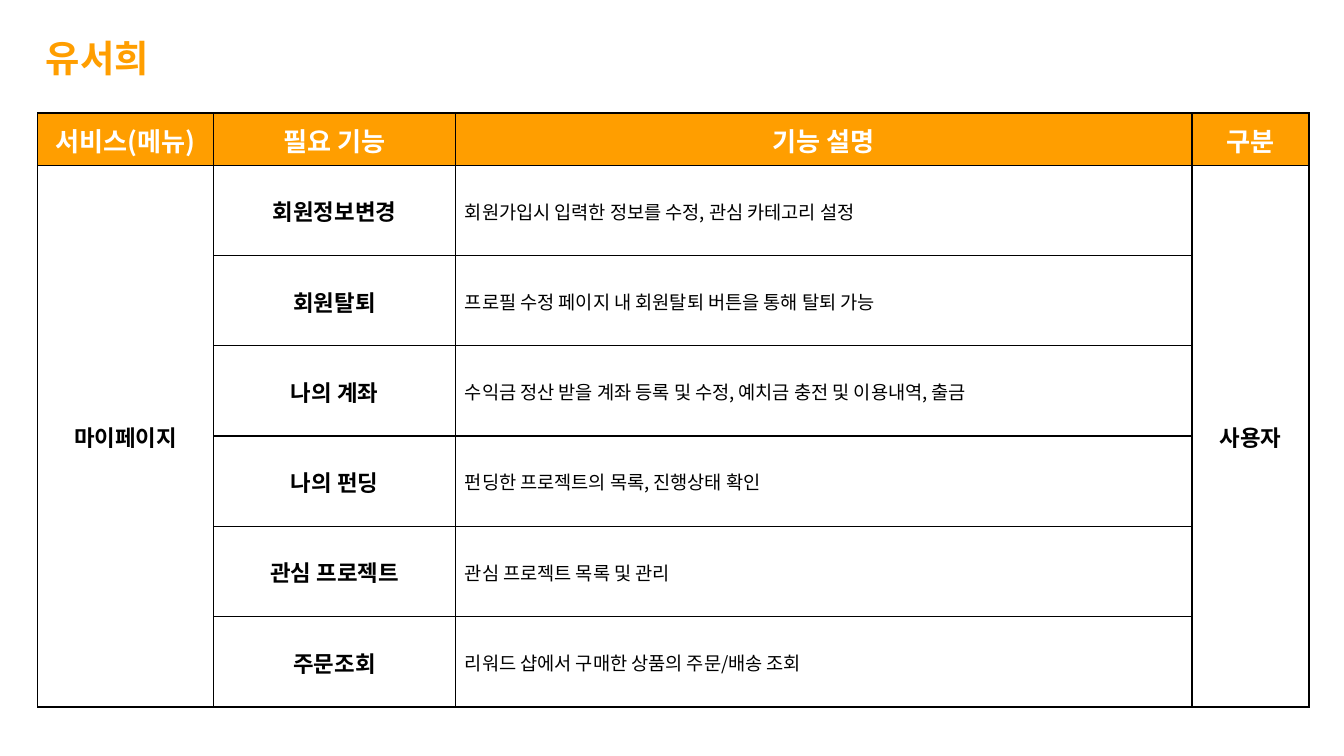
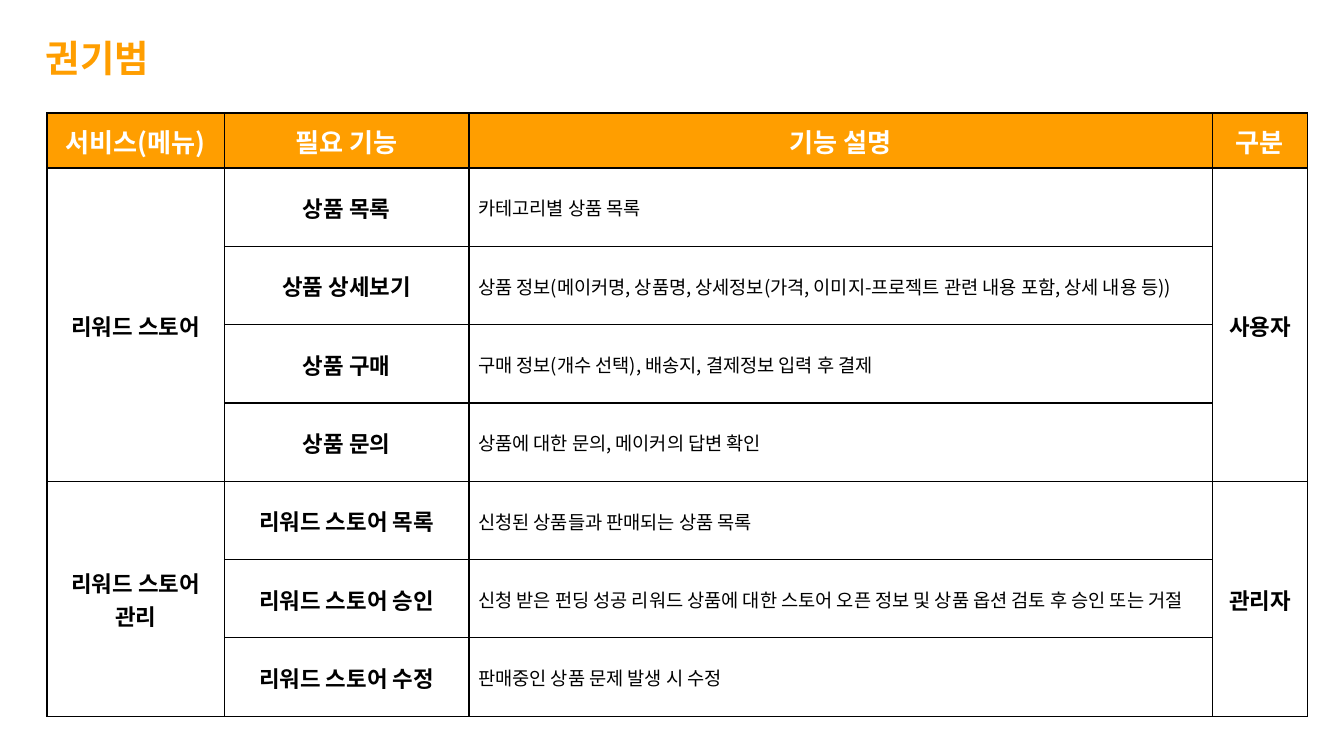
import pptx
import pptx.dml.color
import pptx.enum.shapes
import pptx.enum.text
import pptx.oxml.ns
import pptx.util
from lxml import etree

Inches, Pt = pptx.util.Inches, pptx.util.Pt
PP_ALIGN, ANCHOR = pptx.enum.text.PP_ALIGN, pptx.enum.text.MSO_ANCHOR

# Shared look
FONT = "Noto Sans CJK KR"
ORANGE, WHITE, BLACK, GRAY = "FF9E00", "FFFFFF", "000000", "434343"
WIDTH = 10
HEIGHT = WIDTH * 9 / 16
TABLE_TOP = 0.84
HEADERS = ["서비스(메뉴)", "필요 기능", "기능 설명", "구분"]
DESCRIPTION = 2  # the left-aligned column

# Each group: service, user type, list of (feature, description)
pages = [
    {
        "title": "유서희", "left": 0.28,
        "columns": [1.31, 1.8, 5.48, 0.87], "header_height": 0.39, "table_height": 4.42,
        "groups": [
            ("마이페이지", "사용자", [
                ("회원정보변경", "회원가입시 입력한 정보를 수정, 관심 카테고리 설정"),
                ("회원탈퇴", "프로필 수정 페이지 내 회원탈퇴 버튼을 통해 탈퇴 가능"),
                ("나의 계좌", "수익금 정산 받을 계좌 등록 및 수정, 예치금 충전 및 이용내역, 출금"),
                ("나의 펀딩", "펀딩한 프로젝트의 목록, 진행상태 확인"),
                ("관심 프로젝트", "관심 프로젝트 목록 및 관리"),
                ("주문조회", "리워드 샵에서 구매한 상품의 주문/배송 조회"),
            ]),
        ],
    },
    {
        "title": "권기범", "left": 0.35,
        "columns": [1.32, 1.82, 5.53, 0.71], "header_height": 0.41, "table_height": 4.49,
        "groups": [
            ("리워드 스토어", "사용자", [
                ("상품 목록", "카테고리별 상품 목록"),
                ("상품 상세보기", "상품 정보(메이커명, 상품명, 상세정보(가격, "
                              "이미지-프로젝트 관련 내용 포함, 상세 내용 등))"),
                ("상품 구매", "구매 정보(개수 선택), 배송지, 결제정보 입력 후 결제"),
                ("상품 문의", "상품에 대한 문의, 메이커의 답변 확인"),
            ]),
            ("리워드 스토어 관리", "관리자", [
                ("리워드 스토어 목록", "신청된 상품들과 판매되는 상품 목록"),
                ("리워드 스토어 승인", "신청 받은 펀딩 성공 리워드 상품에 대한 스토어 오픈 정보 및 "
                                "상품 옵션 검토 후 승인 또는 거절"),
                ("리워드 스토어 수정", "판매중인 상품 문제 발생 시 수정"),
            ]),
        ],
    },
]


def color(hex_string):
    return pptx.dml.color.RGBColor.from_string(hex_string)


def write(frame, text, size, hex_string, bold=True, align=PP_ALIGN.CENTER):
    para = frame.paragraphs[0]
    para.alignment = align
    span = para.add_run()
    span.text = text
    span.font.size, span.font.bold, span.font.name = Pt(size), bold, FONT
    span.font.color.rgb = color(hex_string)
    span.font._element.set("kern", "0")
    east_asian = etree.SubElement(span.font._element, pptx.oxml.ns.qn("a:ea"))
    east_asian.set("typeface", FONT)


deck = pptx.Presentation()
deck.slide_width, deck.slide_height = Inches(WIDTH), Inches(HEIGHT)

for content in pages:
    page = deck.slides.add_slide(deck.slide_layouts[5])
    page.background.fill.solid()
    page.background.fill.fore_color.rgb = color(GRAY)

    # White sheet behind everything
    sheet = page.shapes.add_shape(pptx.enum.shapes.MSO_SHAPE.RECTANGLE,
                                  0, 0, deck.slide_width, deck.slide_height)
    sheet.shadow.inherit = False
    sheet.fill.solid()
    sheet.fill.fore_color.rgb = color(WHITE)
    sheet.line.fill.background()
    page.shapes._spTree.insert(2, sheet._element)

    # Title
    title = page.shapes.title
    title.left, title.top = Inches(0.24), Inches(0.21)
    title.width, title.height = Inches(1.22), Inches(0.44)
    title.text_frame.vertical_anchor = ANCHOR.TOP
    title.text_frame.word_wrap = True
    title.text_frame.auto_size = pptx.enum.text.MSO_AUTO_SIZE.SHAPE_TO_FIT_TEXT
    write(title.text_frame, content["title"], 20, ORANGE, align=PP_ALIGN.LEFT)

    # Table grid: a header row, then equal rows
    columns, header_height = content["columns"], content["header_height"]
    row_count = 1 + sum(len(features) for _, _, features in content["groups"])
    row_height = (content["table_height"] - header_height) / (row_count - 1)
    table = page.shapes.add_table(row_count, len(columns), Inches(content["left"]),
                                  Inches(TABLE_TOP), Inches(sum(columns)),
                                  Inches(content["table_height"])).table
    table.first_row = table.horz_banding = False
    for column, width in zip(table.columns, columns):
        column.width = Inches(width)
    for index, row in enumerate(table.rows):
        row.height = Inches(row_height if index else header_height)

    # Cell borders, insets and fills
    for row_index in range(row_count):
        for column_index in range(len(columns)):
            cell = table.cell(row_index, column_index)
            cell.vertical_anchor = ANCHOR.MIDDLE
            cell.margin_left = Inches(0.07 if row_index and column_index == DESCRIPTION else 0.01)
            cell.margin_right = cell.margin_top = Inches(0.01)
            cell.margin_bottom = 0
            for side in ("lnL", "lnR", "lnT", "lnB"):
                border = etree.SubElement(cell._tc.tcPr, pptx.oxml.ns.qn("a:" + side),
                                          w=str(Pt(0.75)))
                paint = etree.SubElement(border, pptx.oxml.ns.qn("a:solidFill"))
                etree.SubElement(paint, pptx.oxml.ns.qn("a:srgbClr"), val=BLACK)
            if row_index:
                cell.fill.background()
            else:
                cell.fill.solid()
                cell.fill.fore_color.rgb = color(ORANGE)

    # Header row
    for column_index, header in enumerate(HEADERS):
        write(table.cell(0, column_index).text_frame, header, 14, WHITE)

    # Groups, with service and user type merged over their features
    first = 1
    for service, user, features in content["groups"]:
        last = first + len(features) - 1
        for column_index, label in ((0, service), (3, user)):
            table.cell(first, column_index).merge(table.cell(last, column_index))
            write(table.cell(first, column_index).text_frame, label, 12, BLACK)
        for row_index, (feature, description) in enumerate(features, first):
            write(table.cell(row_index, 1).text_frame, feature, 12, BLACK)
            write(table.cell(row_index, DESCRIPTION).text_frame, description, 10, BLACK,
                  bold=False, align=PP_ALIGN.LEFT)
        first = last + 1

deck.save("out.pptx")
